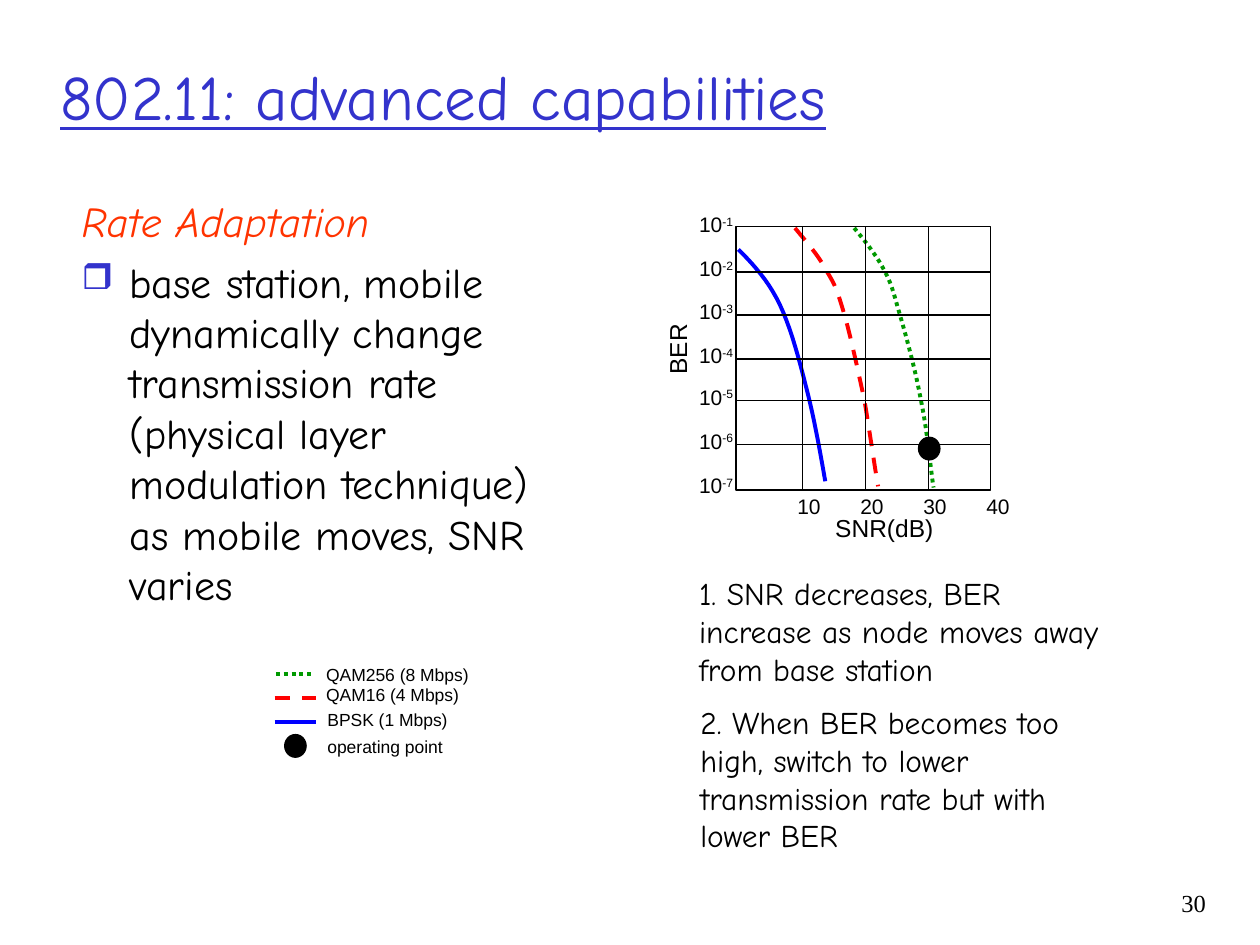
from dataclasses import dataclass

from lxml.etree import SubElement
from pptx import Presentation
from pptx.dml.color import RGBColor
from pptx.enum.dml import MSO_LINE
from pptx.enum.shapes import MSO_CONNECTOR, MSO_SHAPE
from pptx.enum.text import MSO_ANCHOR, MSO_AUTO_SIZE, PP_ALIGN
from pptx.oxml.ns import qn
from pptx.util import Pt

PX = 9144  # 100 px to the inch
BLACK, BLUE, RED, GREEN, INDIGO = "000000", "0000FF", "FF0000", "009900", "3333CC"
HAND, SANS, SERIF = "Comic Neue", "Arial", "Times New Roman"
ROWS = (181, 216, 250, 285, 318, 353, 388)
COLUMNS = (637, 687, 737, 787)
PLOT_LEFT, PLOT_TOP, PLOT_W, PLOT_H = 584, 180, 202, 209


@dataclass
class Modulation:
    """Style, legend row and Bezier knots of one curve; three knots follow per segment."""
    label: str
    color: str
    dash: MSO_LINE
    key_y: int
    label_x: int
    label_y: int
    label_w: int
    key: tuple[int, int]
    knots: list[tuple[int, int]]


@dataclass
class Label:
    text: str
    x: int
    y: int
    w: int
    h: int
    size: int
    font: str = SANS
    wrap: bool = False
    rotation: int = 0


MODULATIONS = [
    Modulation("BPSK (1 Mbps)", BLUE, MSO_LINE.SOLID, 573, 250, 558, 115, (218, 251),
               [(586, 198), (598, 210), (610, 223), (619, 242), (628, 261),
                (635, 288), (641, 312), (647, 335), (653, 371), (655, 382)]),
    Modulation("QAM16 (4 Mbps)", RED, MSO_LINE.DASH, 554, 249, 538, 125, (218, 251),
               [(631, 181), (640, 192), (650, 203), (656, 215), (663, 226), (665, 232),
                (670, 249), (675, 266), (681, 294), (686, 317), (690, 340), (693, 363),
                (697, 386)]),
    Modulation("QAM256 (8 Mbps)", GREEN, MSO_LINE.ROUND_DOT, 535, 249, 522, 133, (219, 249),
               [(678, 181), (687, 192), (696, 203), (702, 215), (708, 226), (709, 232),
                (714, 249), (719, 266), (727, 295), (731, 318), (736, 341), (739, 376),
                (741, 387)]),
]

LABELS = [
    Label("SNR(dB)", 653, 402, 98, 34, 14),
    Label("BER", 508, 260, 60, 34, 14, rotation=270),
    Label("operating point", 250, 579, 114, 27, 10),
    Label("1. SNR decreases, BER increase as node moves away from base station",
          545, 451, 350, 100, 18, HAND, True),
    Label("2. When BER becomes too high, switch to lower transmission rate but with lower BER",
          546, 553, 350, 130, 18, HAND, True),
]


def rgb(color: str) -> RGBColor:
    return RGBColor.from_string(color)


def style_run(r, size: int, font: str, color: str = BLACK) -> None:
    r.font.size, r.font.name = Pt(size), font
    r.font.color.rgb = rgb(color)


def style_line(sp, color: str, width: float, dash=MSO_LINE.SOLID) -> None:
    sp.line.color.rgb, sp.line.width = rgb(color), Pt(width)
    if dash != MSO_LINE.SOLID:
        sp.line.dash_style = dash


def add_text(s, text: str, x: int, y: int, w: int, h: int):
    sp = s.shapes.add_textbox(x * PX, y * PX, w * PX, h * PX)
    tf = sp.text_frame
    tf.word_wrap = True
    tf.text = text
    return sp


def add_label(s, label: Label):
    sp = add_text(s, label.text, label.x, label.y, label.w, label.h)
    sp.rotation = label.rotation
    tf = sp.text_frame
    tf.word_wrap, tf.auto_size = label.wrap, MSO_AUTO_SIZE.SHAPE_TO_FIT_TEXT
    style_run(tf.paragraphs[0].runs[0], label.size, label.font)
    return sp


def add_line(s, x1: int, y1: int, x2: int, y2: int, color: str = BLACK,
             width: float = 0.75, dash=MSO_LINE.SOLID) -> None:
    sp = s.shapes.add_connector(MSO_CONNECTOR.STRAIGHT, x1 * PX, y1 * PX, x2 * PX, y2 * PX)
    style_line(sp, color, width, dash)
    SubElement(sp._element.spPr, qn("a:effectLst"))


def add_dot(s, x: int, y: int) -> None:
    sp = s.shapes.add_shape(MSO_SHAPE.OVAL, x * PX, y * PX, 17 * PX, 18 * PX)
    sp.shadow.inherit = False
    sp.fill.solid()
    sp.fill.fore_color.rgb = rgb(BLACK)
    style_line(sp, BLACK, 0.75)


def bezier_points(knots: list[tuple[int, int]], steps: int = 10) -> list[tuple[float, float]]:
    """Points along the curve in EMU, without the first knot."""
    points = []
    for i in range(0, len(knots) - 1, 3):
        for t in (n / steps for n in range(1, steps + 1)):
            weights = ((1 - t) ** 3, 3 * t * (1 - t) ** 2, 3 * t * t * (1 - t), t ** 3)
            points.append(tuple(PX * sum(w * k[axis] for w, k in zip(weights, knots[i:i + 4]))
                                for axis in (0, 1)))
    return points


def add_curve(s, m: Modulation) -> None:
    x, y = m.knots[0]
    fb = s.shapes.build_freeform(x * PX, y * PX)
    fb.add_line_segments(bezier_points(m.knots), close=False)
    sp = fb.convert_to_shape()
    sp.shadow.inherit = False
    sp.fill.background()
    style_line(sp, m.color, 2.25, m.dash)


def add_plot(s) -> None:
    for m in MODULATIONS:
        add_curve(s, m)
    right, bottom = PLOT_LEFT + PLOT_W, PLOT_TOP + PLOT_H
    sp = s.shapes.add_shape(MSO_SHAPE.RECTANGLE, PLOT_LEFT * PX, PLOT_TOP * PX,
                            PLOT_W * PX, PLOT_H * PX)
    sp.shadow.inherit = False
    sp.fill.background()
    style_line(sp, BLACK, 0.75)
    for y in ROWS[1:-1]:
        add_line(s, PLOT_LEFT, y, right, y)
    for x in COLUMNS[:-1]:
        add_line(s, x, PLOT_TOP, x, bottom)
    for i, x in enumerate(COLUMNS, 1):
        add_label(s, Label(str(10 * i), x - 14, 387, 40, 30, 12))
    for i, y in enumerate(ROWS, 1):
        sp = add_label(s, Label("10", 545, y - 18, 47, 30, 12))
        r = sp.text_frame.paragraphs[0].add_run()
        r.text = f"-{i}"
        style_run(r, 12, SANS)
        r.font._element.set("baseline", "30000")
    add_dot(s, 729, 347)


def add_legend(s) -> None:
    for m in MODULATIONS:
        add_line(s, m.key[0], m.key_y, m.key[1], m.key_y, m.color, 2.25, m.dash)
        add_label(s, Label(m.label, m.label_x, m.label_y, m.label_w, 27, 10))
    add_dot(s, 226, 583)


def add_title(s) -> None:
    tf = add_text(s, "802.11: advanced capabilities", 38, 30, 850, 92).text_frame
    tf.vertical_anchor = MSO_ANCHOR.MIDDLE
    r = tf.paragraphs[0].runs[0]
    style_run(r, 36, HAND, INDIGO)
    r.font.underline = True


def add_body(s) -> None:
    tf = add_text(s, "Rate Adaptation", 55, 150, 410, 508).text_frame
    heading, item = tf.paragraphs[0], tf.add_paragraph()
    item.text = ("base station, mobile dynamically change transmission rate "
                 "(physical layer modulation technique) as mobile moves, SNR varies")
    for p, color in ((heading, "FF3300"), (item, BLACK)):
        p.space_before = Pt(6)
        pPr = p._p.get_or_add_pPr()
        pPr.set("marL", str(38 * PX))
        pPr.set("indent", str(-38 * PX))
        style_run(p.runs[0], 24, HAND, color)
    heading.runs[0].font.italic = True
    pPr = item._p.get_or_add_pPr()
    SubElement(SubElement(pPr, qn("a:buClr")), qn("a:srgbClr"), val=INDIGO)
    SubElement(pPr, qn("a:buSzPct"), val="85000")
    SubElement(pPr, qn("a:buChar"), char="❒")


def add_page_number(s) -> None:
    p = add_text(s, "30", 893, 700, 74, 50).text_frame.paragraphs[0]
    p.alignment = PP_ALIGN.RIGHT
    style_run(p.runs[0], 14, SERIF)


def main() -> None:
    prs = Presentation()
    prs.slide_width, prs.slide_height = 1000 * PX, 750 * PX
    s = prs.slides.add_slide(prs.slide_layouts[6])
    add_title(s)
    add_body(s)
    add_legend(s)
    add_plot(s)
    for label in LABELS:
        add_label(s, label)
    add_page_number(s)
    prs.save("out.pptx")


if __name__ == "__main__":
    main()
